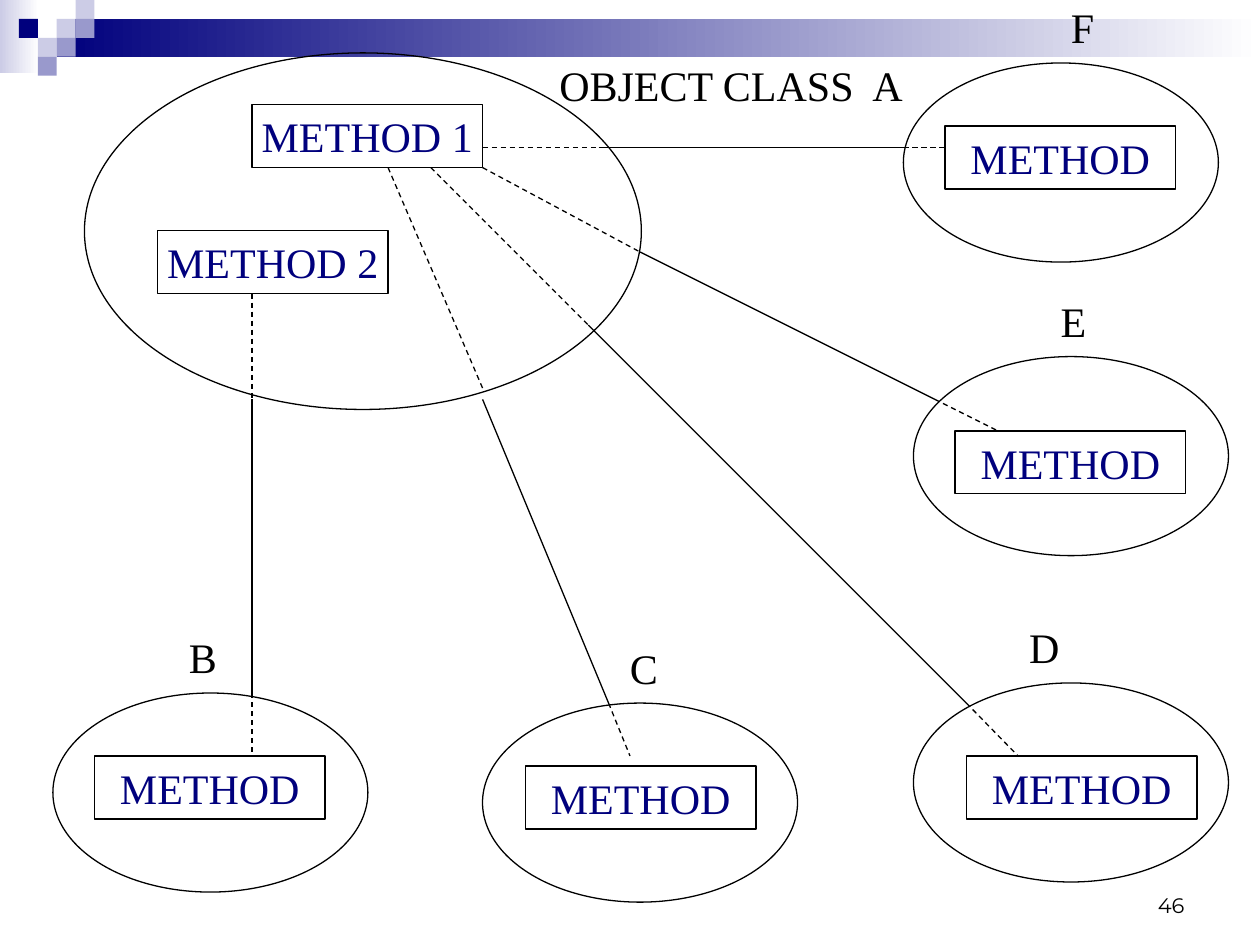
from dataclasses import dataclass

from lxml import etree
from pptx import Presentation
from pptx.dml.color import RGBColor
from pptx.enum import dml, shapes, text
from pptx.oxml import ns
from pptx.util import Inches, Pt


@dataclass(frozen=True)
class Theme:
    black = RGBColor.from_string("000000")
    white = RGBColor.from_string("FFFFFF")
    navy = RGBColor.from_string("00007D")
    lilac = RGBColor.from_string("CCCCE6")
    violet = RGBColor.from_string("9999CC")
    diagram_font = "Times New Roman"
    number_font = "Montserrat"
    diagram_size = Pt(24)
    number_size = Pt(12)
    outline = Pt(0.75)


theme = Theme()
deck = Presentation()
deck.slide_width, deck.slide_height = Inches(10), Inches(7.5)
slide = deck.slides.add_slide(deck.slide_layouts[6])


def add_figure(kind, left, top, width, height):
    figure = slide.shapes.add_shape(kind, Inches(left), Inches(top), Inches(width), Inches(height))
    figure.shadow.inherit = False
    figure.fill.background()
    figure.line.color.rgb = theme.black
    figure.line.width = theme.outline
    return figure


def write(frame, wording, color, align, font=theme.diagram_font, size=theme.diagram_size):
    frame.word_wrap = False
    paragraph = frame.paragraphs[0]
    paragraph.text = wording
    paragraph.alignment = align
    paragraph.font.name = font
    paragraph.font.size = size
    paragraph.font.color.rgb = color


for left, top, width, height, start in [
    (0, 0, 0.31, 0.58, theme.lilac),
    (0.45, 0.15, 9.55, 0.3, theme.navy),
]:
    band = add_figure(shapes.MSO_SHAPE.RECTANGLE, left, top, width, height)
    band.line.fill.background()
    band.fill.gradient()
    band.fill.gradient_angle = 0
    for stop, color in zip(band.fill.gradient_stops, (start, theme.white)):
        stop.color.rgb = color

tile_size = 0.15
for column, row, color in [
    (3, 1, theme.lilac),
    (4, 0, theme.lilac),
    (4, 1, theme.violet),
    (2, 2, theme.lilac),
    (1, 1, theme.navy),
    (3, 2, theme.violet),
    (2, 3, theme.violet),
]:
    tile = add_figure(shapes.MSO_SHAPE.RECTANGLE, column * tile_size, row * tile_size, tile_size, tile_size)
    tile.line.fill.background()
    tile.fill.solid()
    tile.fill.fore_color.rgb = color

page_number = slide.shapes.add_textbox(Inches(7.17), Inches(6.83), Inches(2.33), Inches(0.5)).text_frame
write(page_number, "46", theme.black, text.PP_ALIGN.RIGHT, theme.number_font, theme.number_size)
page_number.word_wrap = True
page_number.vertical_anchor = text.MSO_ANCHOR.BOTTOM

add_figure(shapes.MSO_SHAPE.OVAL, 0.67, 0.42, 4.42, 2.83)
for left, top in [(0.42, 5.5), (3.83, 5.58), (7.25, 5.42), (7.25, 2.83), (7.17, 0.5)]:
    add_figure(shapes.MSO_SHAPE.OVAL, left, top, 2.5, 1.58)

for wording, left, top in [
    ("METHOD 2", 1.25, 1.83),
    ("METHOD 1", 2, 0.83),
    ("METHOD", 0.75, 6),
    ("METHOD", 4.17, 6.08),
    ("METHOD", 7.67, 6),
    ("METHOD", 7.58, 3.42),
    ("METHOD", 7.5, 1),
]:
    method = add_figure(shapes.MSO_SHAPE.RECTANGLE, left, top, 1.83, 0.5)
    method.text_frame.vertical_anchor = text.MSO_ANCHOR.MIDDLE
    write(method.text_frame, wording, theme.navy, text.PP_ALIGN.CENTER)

messages = [
    [(3.83, 1.17), (4.75, 1.17), (4.75, 1.17), (7.17, 1.17), (7.5, 1.17)],
    [(3.83, 1.33), (5.08, 2), (5.08, 2), (7.42, 3.17), (7.92, 3.42)],
    [(3.42, 1.33), (4.67, 2.58), (4.67, 2.58), (7.67, 5.58), (8.08, 6)],
    [(3.08, 1.33), (3.83, 3.08), (3.83, 3.17), (4.83, 5.58), (5, 6)],
    [(2, 2.33), (2, 3.17), (2, 3.17), (2, 5.5), (2, 6)],
]
for sender, inner_exit, outer_exit, entry, receiver in messages:
    for begin, end, hidden in [
        (sender, inner_exit, True),
        (outer_exit, entry, False),
        (entry, receiver, True),
    ]:
        segment = slide.shapes.add_connector(
            shapes.MSO_CONNECTOR.STRAIGHT, *(Inches(value) for value in begin + end)
        )
        segment.line.color.rgb = theme.black
        segment.line.width = theme.outline
        if hidden:
            segment.line.dash_style = dml.MSO_LINE.DASH
        etree.SubElement(segment._element.spPr, ns.qn("a:effectLst"))

for wording, left, top, width in [
    ("OBJECT CLASS  A", 4.34, 0.42, 2.95),
    ("B", 1.4, 4.96, 0.42),
    ("C", 4.9, 5.05, 0.42),
    ("D", 8.07, 4.88, 0.44),
    ("E", 8.32, 2.3, 0.4),
    ("F", 8.4, -0.04, 0.38),
]:
    class_label = slide.shapes.add_textbox(Inches(left), Inches(top), Inches(width), Inches(0.5)).text_frame
    write(class_label, wording, theme.black, text.PP_ALIGN.LEFT)
    class_label.auto_size = text.MSO_AUTO_SIZE.SHAPE_TO_FIT_TEXT

deck.save("out.pptx")
